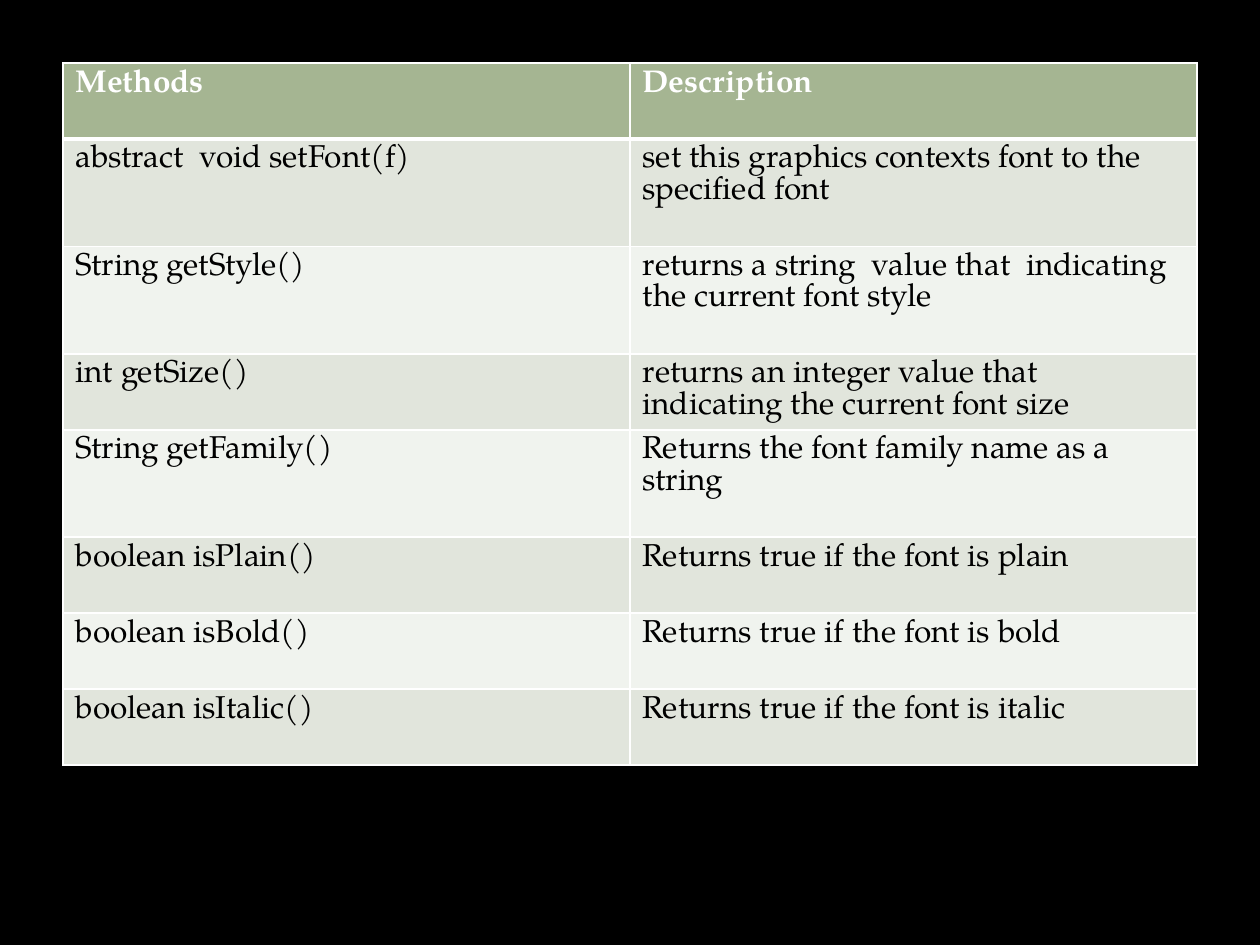
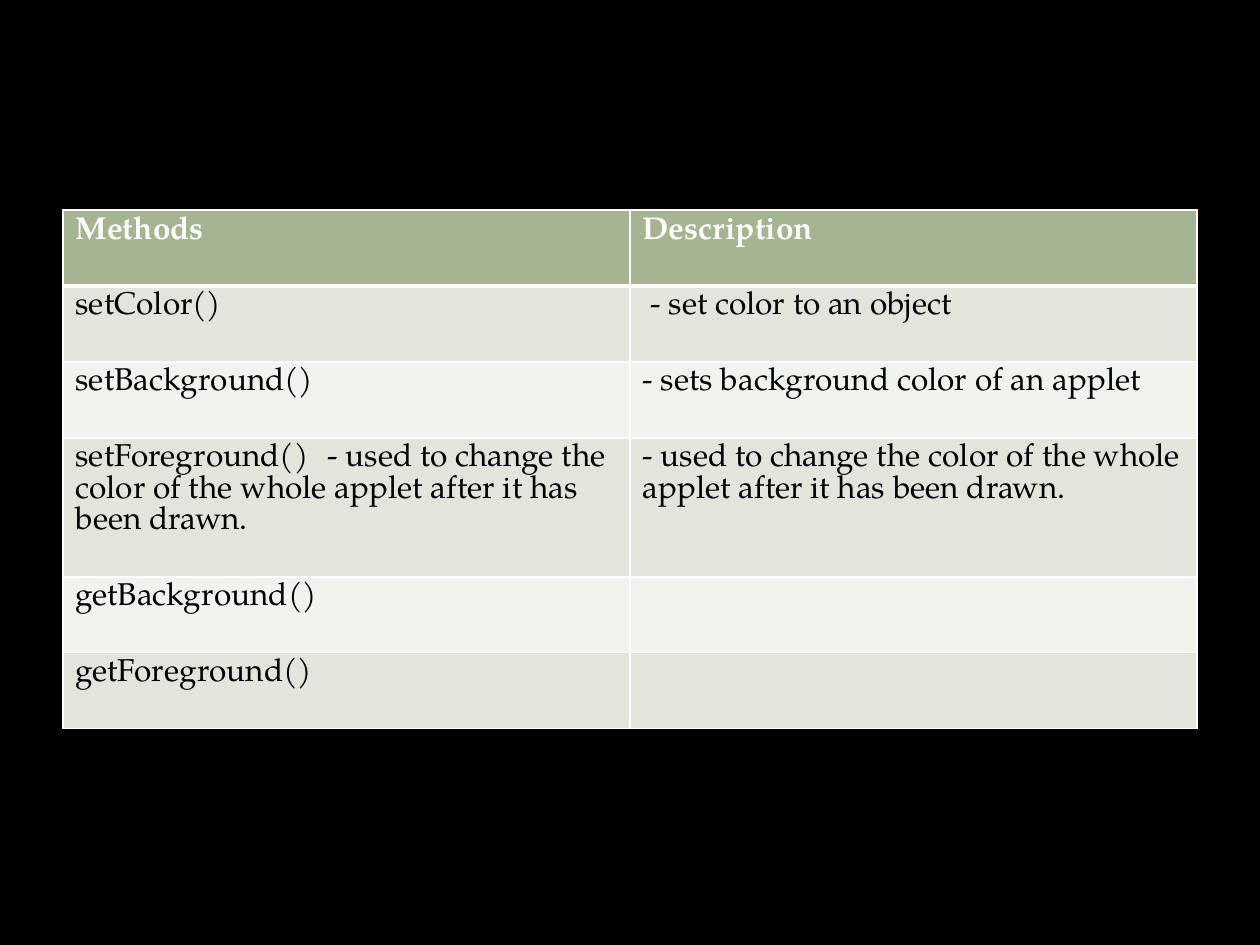
from dataclasses import dataclass

from lxml.etree import SubElement
from pptx import Presentation
from pptx.dml.color import RGBColor
from pptx.oxml.ns import qn
from pptx.util import Inches, Pt


@dataclass(frozen=True)
class Theme:
    font: str = "TeX Gyre Pagella"
    text_size: float = 18
    row_padding: float = 7.4
    thin_rule: float = 1
    header_rule: float = 3
    background: str = "000000"
    header_fill: str = "A5B592"
    band_fills: tuple = ("E1E5DC", "F0F3EE")
    header_text: str = "FFFFFF"
    body_text: str = "000000"
    rule: str = "FFFFFF"


THEME = Theme()
HEADINGS = ("Methods", "Description")
HEADING_LINES = 2

# Each row: method, description, height in text lines
FONT_METHODS = [
    ("abstract  void setFont(f)", "set this graphics contexts font to the specified font", 3),
    ("String getStyle()", "returns a string  value that  indicating the current font style", 3),
    ("int getSize()", "returns an integer value that indicating the current font size", 2),
    ("String getFamily()", "Returns the font family name as a string", 3),
    ("boolean isPlain()", "Returns true if the font is plain", 2),
    ("boolean isBold()", "Returns true if the font is bold", 2),
    ("boolean isItalic()", "Returns true if the font is italic", 2),
]
COLOR_METHODS = [
    ("setColor()", " - set color to an object", 2),
    ("setBackground()", "- sets background color of an applet", 2),
    ("setForeground()\t- used to change the color of the whole applet after it has been drawn.",
     "- used to change the color of the whole applet after it has been drawn.", 4),
    ("getBackground()", "", 2),
    ("getForeground()", "", 2),
]


def rule_cell(cell, top, bottom):
    """Draw the four borders of a cell; widths are in points."""
    properties = cell._tc.get_or_add_tcPr()
    sides = {"a:lnL": THEME.thin_rule, "a:lnR": THEME.thin_rule,
             "a:lnT": top, "a:lnB": bottom}
    for side, width in sides.items():
        line = SubElement(properties, qn(side), w=str(Pt(width)))
        fill = SubElement(line, qn("a:solidFill"))
        SubElement(fill, qn("a:srgbClr"), val=THEME.rule)


def fill_cell(cell, text, row_index):
    """Style one cell as heading or banded body, and write its text."""
    is_heading = row_index == 0
    rule_cell(cell,
              top=THEME.header_rule if row_index == 1 else THEME.thin_rule,
              bottom=THEME.header_rule if is_heading else THEME.thin_rule)
    cell.fill.solid()
    cell.fill.fore_color.rgb = RGBColor.from_string(
        THEME.header_fill if is_heading else THEME.band_fills[(row_index - 1) % 2])
    if not text:
        return
    paragraph = cell.text_frame.paragraphs[0]
    paragraph.line_spacing = Pt(THEME.text_size)
    run = paragraph.add_run()
    run.text = text
    run.font.name = THEME.font
    run.font.size = Pt(THEME.text_size)
    run.font.bold = is_heading
    run.font.color.rgb = RGBColor.from_string(
        THEME.header_text if is_heading else THEME.body_text)


def add_method_table(slide, methods, left, top, width):
    """Place a method table in a box; row heights follow their line counts."""
    rows = [(*HEADINGS, HEADING_LINES), *methods]
    heights = [Pt(THEME.row_padding + THEME.text_size * lines) for *_, lines in rows]
    table = slide.shapes.add_table(
        len(rows), len(HEADINGS), left, top, width, sum(heights)).table
    for column in table.columns:
        column.width = width // len(HEADINGS)
    for row_index, (*texts, _) in enumerate(rows):
        table.rows[row_index].height = heights[row_index]
        for column_index, text in enumerate(texts):
            fill_cell(table.cell(row_index, column_index), text, row_index)


def add_method_slide(presentation, methods, top_share):
    """One slide with a method table, 5% in from either side."""
    slide = presentation.slides.add_slide(presentation.slide_layouts[6])
    slide_width = presentation.slide_width
    add_method_table(slide, methods,
                     left=int(slide_width * 0.05),
                     top=int(presentation.slide_height * top_share),
                     width=int(slide_width * 0.9))


def main():
    presentation = Presentation()
    presentation.slide_width = Inches(10)
    presentation.slide_height = Inches(7.5)

    # Shared background
    backdrop = presentation.slide_master.background.fill
    backdrop.solid()
    backdrop.fore_color.rgb = RGBColor.from_string(THEME.background)

    # Font methods, then color methods
    add_method_slide(presentation, FONT_METHODS, top_share=1 / 15)
    add_method_slide(presentation, COLOR_METHODS, top_share=2 / 9)

    presentation.save("out.pptx")


if __name__ == "__main__":
    main()
